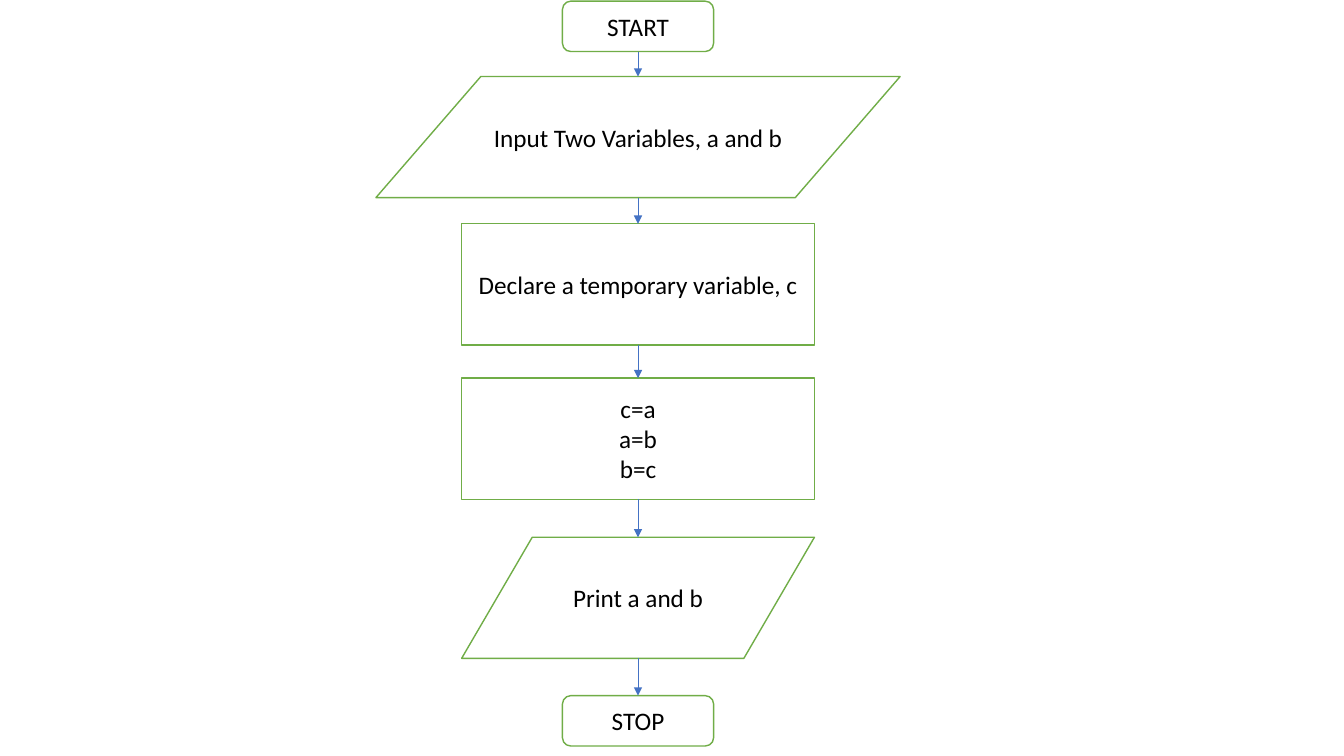
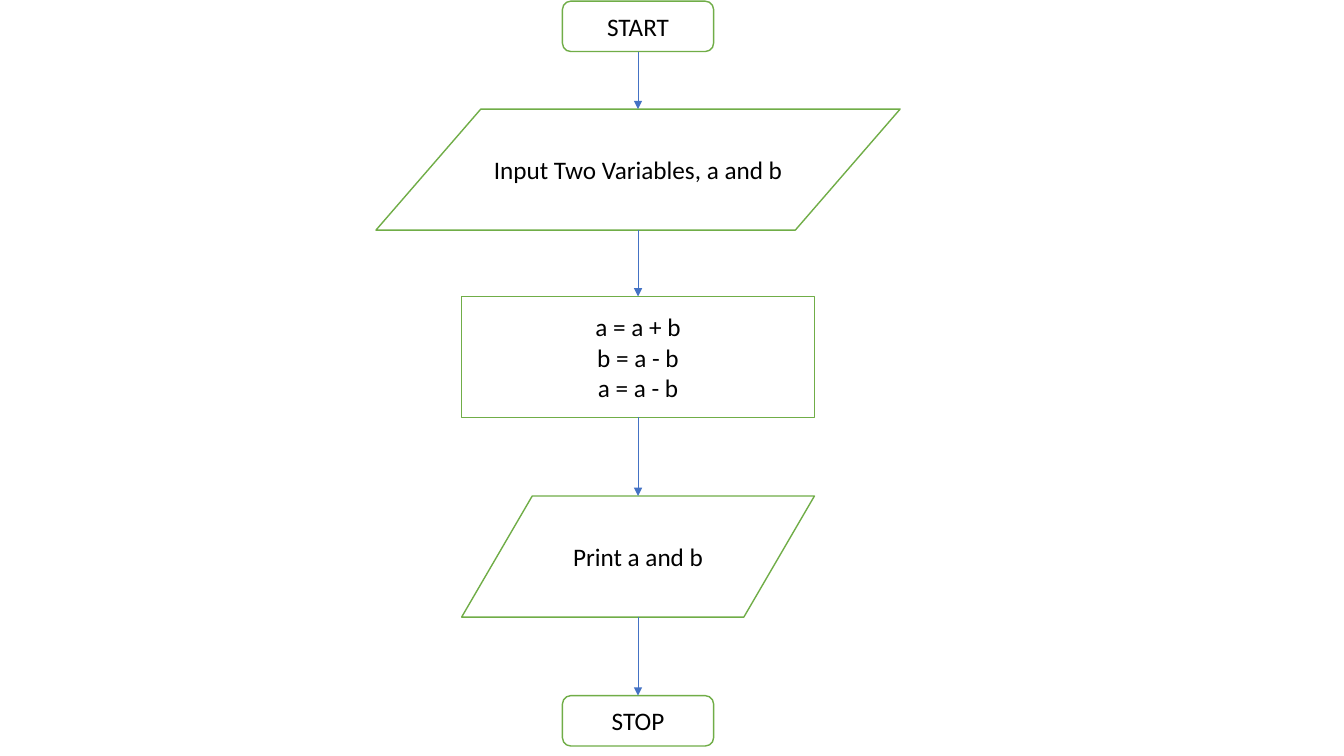
from dataclasses import dataclass
from itertools import pairwise

from lxml import etree
from pptx import Presentation
from pptx.dml.color import RGBColor
from pptx.enum.shapes import MSO_CONNECTOR, MSO_SHAPE as Shape
from pptx.enum.text import MSO_ANCHOR, PP_ALIGN
from pptx.oxml.ns import qn
from pptx.util import Cm, Pt


@dataclass(frozen=True)
class Theme:
    font: str = "Calibri"
    text_size: Pt = Pt(18)
    text: RGBColor = RGBColor(0x00, 0x00, 0x00)
    fill: RGBColor = RGBColor(0xFF, 0xFF, 0xFF)
    outline: RGBColor = RGBColor(0x70, 0xAD, 0x47)
    outline_width: Pt = Pt(1)
    arrow: RGBColor = RGBColor(0x44, 0x72, 0xC4)
    arrow_width: Pt = Pt(0.5)


theme = Theme()
CENTER = Cm(16.08)

# Step kinds: preset shape, width, height
TERMINAL = (Shape.FLOWCHART_ALTERNATE_PROCESS, Cm(3.81), Cm(1.27))
WIDE_DATA = (Shape.FLOWCHART_DATA, Cm(13.21), Cm(3.05))
DATA = (Shape.FLOWCHART_DATA, Cm(8.89), Cm(3.05))
PROCESS = (Shape.FLOWCHART_PROCESS, Cm(8.89), Cm(3.05))

# Each step: kind, top, lines of text
START = (TERMINAL, Cm(0.03), ["START"])
STOP = (TERMINAL, Cm(17.53), ["STOP"])
INPUT_LINES = ["Input Two Variables, a and b"]
PRINT_LINES = ["Print a and b"]

swap_with_temporary = [
    START,
    (WIDE_DATA, Cm(1.93), INPUT_LINES),
    (PROCESS, Cm(5.64), ["Declare a temporary variable, c"]),
    (PROCESS, Cm(9.53), ["c=a", "a=b", "b=c"]),
    (DATA, Cm(13.54), PRINT_LINES),
    STOP,
]
swap_with_arithmetic = [
    START,
    (WIDE_DATA, Cm(2.75), INPUT_LINES),
    (PROCESS, Cm(7.47), ["a = a + b", "b = a - b", "a = a - b"]),
    (DATA, Cm(12.5), PRINT_LINES),
    STOP,
]


def add_step(slide, kind, top, lines):
    preset, width, height = kind
    shape = slide.shapes.add_shape(preset, CENTER - width // 2, top, width, height)
    shape.shadow.inherit = False
    shape.fill.solid()
    shape.fill.fore_color.rgb = theme.fill
    shape.line.color.rgb = theme.outline
    shape.line.width = theme.outline_width
    frame = shape.text_frame
    frame.word_wrap = True
    frame.vertical_anchor = MSO_ANCHOR.MIDDLE
    for index, line in enumerate(lines):
        paragraph = frame.add_paragraph() if index else frame.paragraphs[0]
        paragraph.alignment = PP_ALIGN.CENTER
        run = paragraph.add_run()
        run.text = line
        run.font.name = theme.font
        run.font.size = theme.text_size
        run.font.color.rgb = theme.text
    return shape


def add_down_arrow(slide, top, bottom):
    connector = slide.shapes.add_connector(
        MSO_CONNECTOR.STRAIGHT, CENTER, top, CENTER, bottom)
    connector.line.color.rgb = theme.arrow
    connector.line.width = theme.arrow_width
    etree.SubElement(connector.line._get_or_add_ln(), qn("a:tailEnd"), type="triangle")
    etree.SubElement(connector._element.spPr, qn("a:effectLst"))


presentation = Presentation()
presentation.slide_width = Cm(33.87)
presentation.slide_height = Cm(19.05)
blank_layout = presentation.slide_layouts[6]

for steps in (swap_with_temporary, swap_with_arithmetic):
    slide = presentation.slides.add_slide(blank_layout)
    shapes = [add_step(slide, *step) for step in steps]
    for upper, lower in pairwise(shapes):
        add_down_arrow(slide, upper.top + upper.height, lower.top)

presentation.save("out.pptx")
